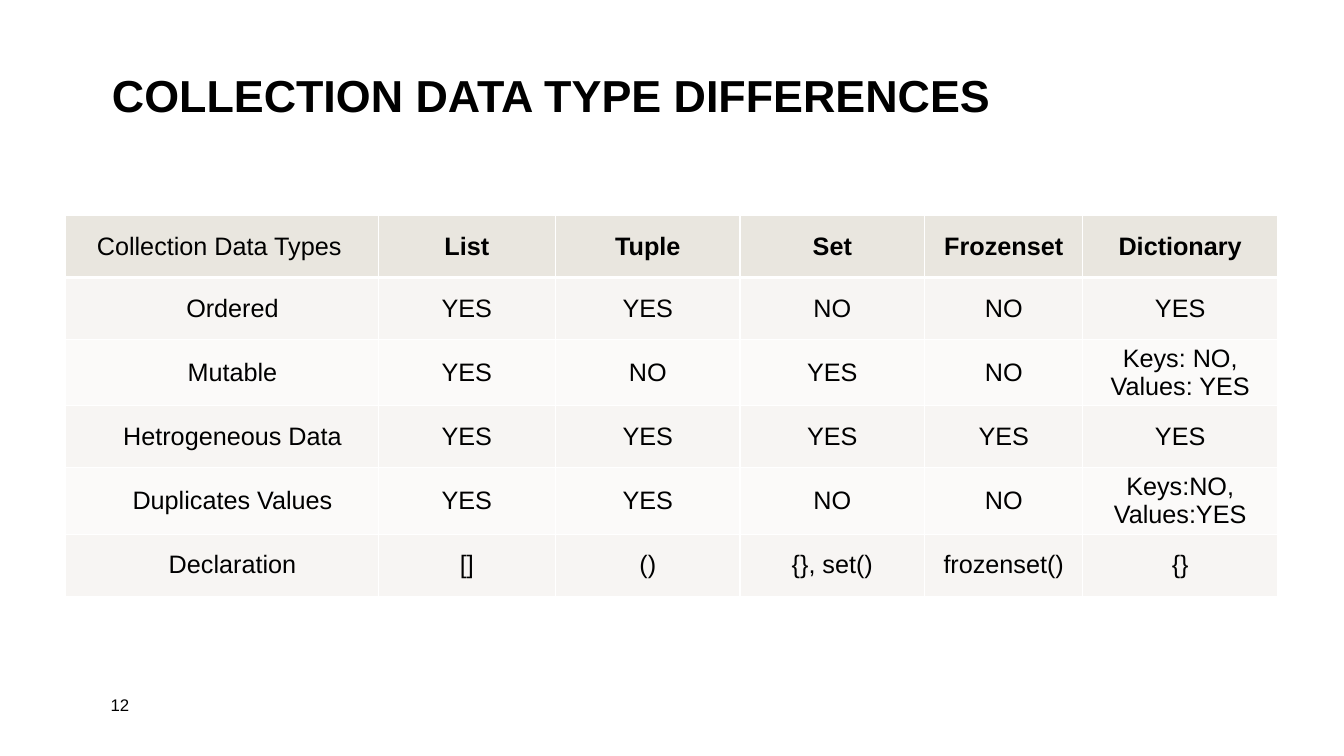
import pptx
import pptx.util
import pptx.dml.color
import pptx.enum.text
import pptx.oxml.ns
import lxml.etree

Align = pptx.enum.text.PP_ALIGN
Anchor = pptx.enum.text.MSO_ANCHOR
Pt = pptx.util.Pt

COLORS = {
    "ink": "000000",
    "rule": "FFFFFF",
    "head": "E9E6DF",
    "odd": "F7F5F3",
    "even": "FBFAF9",
}

TYPES = [
    ["Collection Data Types", "List", "Tuple", "Set", "Frozenset", "Dictionary"],
    ["Ordered", "YES", "YES", "NO", "NO", "YES"],
    ["Mutable", "YES", "NO", "YES", "NO", "Keys: NO, Values: YES"],
    ["Hetrogeneous Data", "YES", "YES", "YES", "YES", "YES"],
    ["Duplicates Values", "YES", "YES", "NO", "NO", "Keys:NO, Values:YES"],
    ["Declaration", "[]", "()", "{}, set()", "frozenset()", "{}"],
]
WIDTHS = [23.26, 13.2, 13.73, 13.73, 11.78, 14.48]


class Deck:
    """Holds the style and the slide; lengths are percent of the slide's size."""

    font = "Arial"

    def __init__(self):
        self.file = pptx.Presentation()
        self.file.slide_width = pptx.util.Inches(13.33)
        self.file.slide_height = pptx.util.Inches(7.5)
        self.slide = self.file.slides.add_slide(self.file.slide_layouts[5])

    def across(self, share):
        return round(self.file.slide_width * share / 100)

    def down(self, share):
        return round(self.file.slide_height * share / 100)

    def box(self, left, top, width, height):
        return self.across(left), self.down(top), self.across(width), self.down(height)

    def color(self, name):
        return pptx.dml.color.RGBColor.from_string(COLORS[name])

    def text(self, frame, words, size, bold=False, align=Align.LEFT):
        para = frame.paragraphs[0]
        para.text = words
        para.alignment = align
        para.font.name = self.font
        para.font.size = Pt(size)
        para.font.bold = bold
        para.font.color.rgb = self.color("ink")
        return para

    def title(self, words, *place):
        shape = self.slide.shapes.title
        shape.left, shape.top, shape.width, shape.height = self.box(*place)
        frame = shape.text_frame
        frame.auto_size = pptx.enum.text.MSO_AUTO_SIZE.NONE
        frame.vertical_anchor = Anchor.MIDDLE
        self.text(frame, words, 32, bold=True).line_spacing = 0.9

    def label(self, words, *place):
        frame = self.slide.shapes.add_textbox(*self.box(*place)).text_frame
        frame.word_wrap = True
        frame.vertical_anchor = Anchor.MIDDLE
        self.text(frame, words, 12)

    def border(self, cell, side, width):
        props = cell._tc.get_or_add_tcPr()
        name = pptx.oxml.ns.qn
        line = lxml.etree.SubElement(props, name("a:ln" + side), w=str(Pt(width)))
        fill = lxml.etree.SubElement(line, name("a:solidFill"))
        lxml.etree.SubElement(fill, name("a:srgbClr"), val=COLORS["rule"])

    def cell(self, cell, words, row, col):
        head = row == 0
        thick = {(0, "B"), (1, "T")}
        for side in "LRTB":
            self.border(cell, side, 3 if (row, side) in thick else 1)
        cell.fill.solid()
        cell.fill.fore_color.rgb = self.color("head" if head else "odd" if row % 2 else "even")
        cell.vertical_anchor = Anchor.MIDDLE
        if col == 0:
            cell.margin_left = self.across(2.33)
        align = Align.LEFT if head and col == 0 else Align.CENTER
        self.text(cell.text_frame, words, 18, bold=head and col > 0, align=align)

    def table(self, rows, widths, left, top, step):
        place = self.box(left, top, sum(widths), step * len(rows))
        table = self.slide.shapes.add_table(len(rows), len(widths), *place).table
        table.first_row = table.horz_banding = False
        for column, width in zip(table.columns, widths):
            column.width = self.across(width)
        for r, row in enumerate(rows):
            table.rows[r].height = self.down(step)
            for c, words in enumerate(row):
                self.cell(table.cell(r, c), words, r, c)


def main():
    deck = Deck()
    deck.title("COLLECTION DATA TYPE DIFFERENCES", 7.58, 8.53, 84.92, 8.93)
    deck.table(TYPES, WIDTHS, left=4.88, top=28.53, step=8.18)
    deck.label("12", 7.5, 91.07, 5.18, 4.27)
    deck.file.save("out.pptx")


if __name__ == "__main__":
    main()
